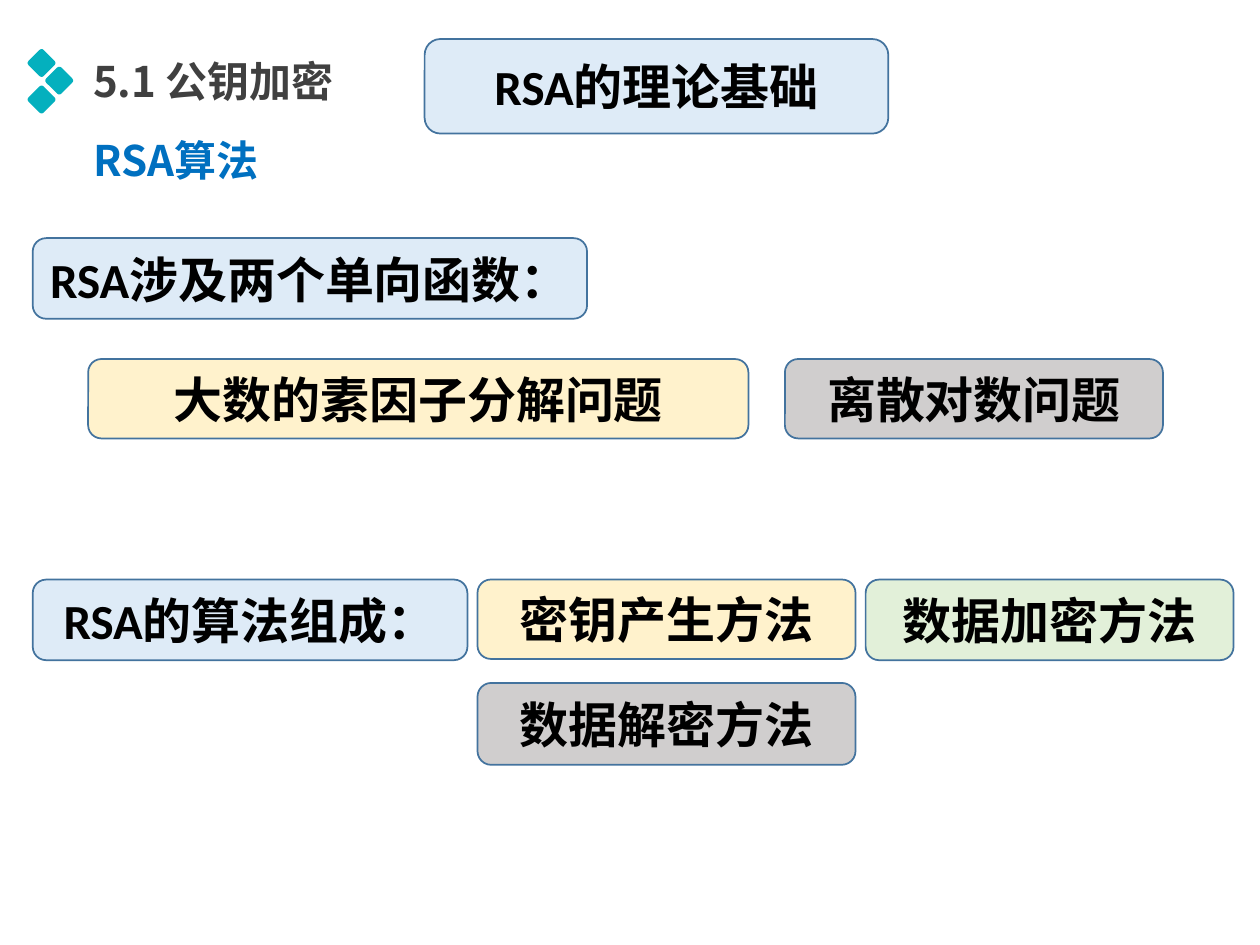
from pptx import Presentation
from pptx.dml.color import RGBColor
from pptx.enum.shapes import MSO_SHAPE
from pptx.enum.text import MSO_ANCHOR, PP_ALIGN
from pptx.util import Inches, Pt

LATIN = "Calibri"
HAN = "Noto Sans CJK SC"
TEAL = RGBColor(0x04, 0xB0, 0xBE)
BLUE = RGBColor(0x00, 0x70, 0xC0)
DARK = RGBColor(0x40, 0x40, 0x40)
BLACK = RGBColor(0x00, 0x00, 0x00)
EDGE = RGBColor(0x43, 0x73, 0x9E)
SKY = RGBColor(0xDE, 0xEB, 0xF7)
CREAM = RGBColor(0xFF, 0xF2, 0xCC)
GRAY = RGBColor(0xD0, 0xCE, 0xCE)
GREEN = RGBColor(0xE2, 0xF0, 0xD9)

BOXES = [
    ("RSA的理论基础", 3.37, 0.31, 3.68, 0.75, SKY),
    ("RSA涉及两个单向函数：", 0.26, 1.89, 4.4, 0.64, SKY),
    ("大数的素因子分解问题", 0.7, 2.85, 5.24, 0.63, CREAM),
    ("离散对数问题", 6.23, 2.85, 3, 0.63, GRAY),
    ("RSA的算法组成：", 0.26, 4.6, 3.45, 0.64, SKY),
    ("密钥产生方法", 3.79, 4.6, 3, 0.63, CREAM),
    ("数据加密方法", 6.87, 4.6, 2.92, 0.64, GREEN),
    ("数据解密方法", 3.79, 5.42, 3, 0.65, GRAY),
]


def write(frame, text, name, size, color):
    para = frame.paragraphs[0]
    para.text = text
    font = para.font
    font.name, font.size, font.bold = name, Pt(size), True
    font.color.rgb = color
    return para


def add_round(slide, left, top, width, height, fill):
    shape = slide.shapes.add_shape(
        MSO_SHAPE.ROUNDED_RECTANGLE,
        Inches(left), Inches(top), Inches(width), Inches(height))
    shape.shadow.inherit = False
    shape.fill.solid()
    shape.fill.fore_color.rgb = fill
    return shape


def add_gem(slide, x, y):
    """Draw a rounded diamond centred on x, y."""
    side = 0.17
    gem = add_round(slide, x - side / 2, y - side / 2, side, side, TEAL)
    gem.adjustments[0] = 0.14
    gem.rotation = 45
    gem.line.fill.background()


def add_title(slide, text, top, color):
    box = slide.shapes.add_textbox(
        Inches(0.67), Inches(top), Inches(3.03), Inches(0.48))
    frame = box.text_frame
    frame.word_wrap = True
    frame.margin_left = frame.margin_right = Inches(0.07)
    frame.margin_top = frame.margin_bottom = Inches(0.04)
    write(frame, text, HAN, 24, color)


def add_box(slide, text, left, top, width, height, fill):
    box = add_round(slide, left, top, width, height, fill)
    box.line.color.rgb = EDGE
    box.line.width = Pt(1)
    frame = box.text_frame
    frame.word_wrap = True
    frame.vertical_anchor = MSO_ANCHOR.MIDDLE
    write(frame, text, LATIN, 28, BLACK).alignment = PP_ALIGN.CENTER


def main():
    deck = Presentation()
    deck.slide_width, deck.slide_height = Inches(10), Inches(7.5)
    slide = deck.slides.add_slide(deck.slide_layouts[6])
    for x, y in [(0.33, 0.5), (0.47, 0.64), (0.33, 0.79)]:
        add_gem(slide, x, y)
    add_title(slide, "5.1 公钥加密", 0.4, DARK)
    add_title(slide, "RSA算法", 1.03, BLUE)
    for box in BOXES:
        add_box(slide, *box)
    deck.save("out.pptx")


if __name__ == "__main__":
    main()
